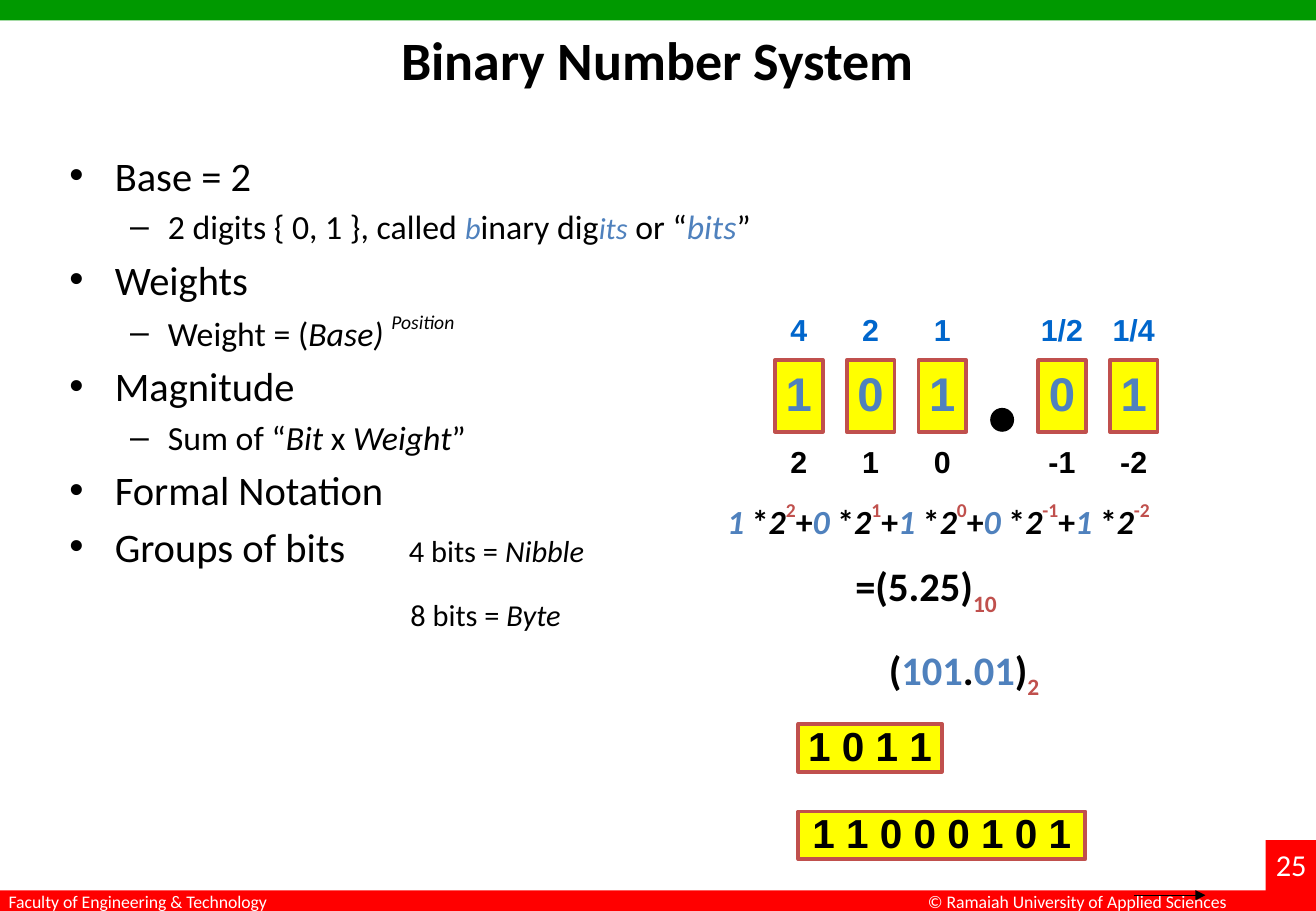
"""Build the Binary Number System lecture slide."""
from dataclasses import dataclass, field

from lxml import etree
from pptx import Presentation
from pptx.dml.color import RGBColor
from pptx.enum.shapes import MSO_CONNECTOR, MSO_SHAPE
from pptx.enum.text import MSO_ANCHOR, MSO_AUTO_SIZE, PP_ALIGN
from pptx.oxml.ns import qn
from pptx.shapes.autoshape import Shape
from pptx.slide import Slide
from pptx.text.text import TextFrame
from pptx.util import Cm, Pt

RECTANGLE, OVAL = MSO_SHAPE.RECTANGLE, MSO_SHAPE.OVAL
STRAIGHT = MSO_CONNECTOR.STRAIGHT
TOP, MIDDLE = MSO_ANCHOR.TOP, MSO_ANCHOR.MIDDLE
LEFT, CENTER = PP_ALIGN.LEFT, PP_ALIGN.CENTER
NO_FIT = MSO_AUTO_SIZE.NONE


@dataclass(frozen=True)
class Theme:
    """Colours, fonts and type sizes of the slide."""
    green: str = "009900"
    red: str = "FF0000"
    yellow: str = "FFFF00"
    white: str = "FFFFFF"
    black: str = "000000"
    accent: str = "4F81BD"
    weight: str = "0066CC"
    border: str = "C0504D"
    body_font: str = "Calibri"
    digit_font: str = "Arial"
    title: float = 32
    digit: float = 28
    level_one: float = 24
    level_two: float = 20
    label: float = 18
    footer: float = 10.5


THEME = Theme()


@dataclass(frozen=True)
class Run:
    """A stretch of text in one format."""
    text: str
    size: float = THEME.level_two
    color: str = THEME.black
    italic: bool = False
    bold: bool = False
    baseline: int = 0
    font: str = THEME.body_font


@dataclass(frozen=True)
class Line:
    """A paragraph with its indents, bullet and spacing."""
    runs: list[Run]
    align: PP_ALIGN = LEFT
    margin: float = 0
    hanging: float = 0
    bullet: str = ""
    tabs: list[float] = field(default_factory=list)
    before: float = 0
    spacing: float = 1.0


@dataclass(frozen=True)
class Box:
    """Left, top, width and height in centimetres."""
    left: float
    top: float
    width: float
    height: float


@dataclass(frozen=True)
class Bit:
    """One binary digit with its weight and position."""
    digit: str
    weight: str
    position: str
    left: float


BITS = [Bit(digit, weight, str(2 - i), 16.2 + 1.5 * i + (1.0 if i > 2 else 0))
        for i, (digit, weight) in enumerate(zip("10101"[:3] + "01", ["4", "2", "1", "1/2", "1/4"]))]


def set_values(target: object, values: dict[str, object]) -> None:
    """Set each named attribute on the target."""
    for name, value in values.items():
        setattr(target, name, value)


def write(frame: TextFrame, lines: list[Line]) -> None:
    """Fill a text frame with formatted paragraphs."""
    for i, line in enumerate(lines):
        paragraph = frame.add_paragraph() if i else frame.paragraphs[0]
        properties = paragraph._p.get_or_add_pPr()
        properties.set("marL", str(Cm(line.margin)))
        properties.set("indent", str(Cm(-line.hanging)))
        if line.bullet:
            etree.SubElement(properties, qn("a:buFont"), typeface=THEME.digit_font)
            etree.SubElement(properties, qn("a:buChar"), char=line.bullet)
        if line.tabs:
            stops = etree.SubElement(properties, qn("a:tabLst"))
            for stop in line.tabs:
                etree.SubElement(stops, qn("a:tab"), pos=str(Cm(stop)), algn="l")
        set_values(paragraph, {"alignment": line.align, "line_spacing": line.spacing,
                               "space_before": Pt(line.before if i else 0)})
        for part in line.runs:
            run = paragraph.add_run()
            run.text = part.text
            set_values(run.font, {"name": part.font, "size": Pt(part.size),
                                  "bold": part.bold, "italic": part.italic})
            run.font.color.rgb = RGBColor.from_string(part.color)
            if part.baseline:
                run._r.get_or_add_rPr().set("baseline", str(part.baseline * 1000))


def add_text(slide: Slide, box: Box, lines: list[Line], wrap: bool = True) -> None:
    """Add a text box without insets."""
    frame = slide.shapes.add_textbox(
        Cm(box.left), Cm(box.top), Cm(box.width), Cm(box.height)).text_frame
    set_values(frame, {"word_wrap": wrap, "margin_left": 0, "margin_right": 0,
                       "margin_top": 0, "margin_bottom": 0})
    write(frame, lines)


def add_block(slide: Slide, box: Box, fill: str, kind: MSO_SHAPE = RECTANGLE) -> Shape:
    """Add a filled shape without outline."""
    block = slide.shapes.add_shape(kind, Cm(box.left), Cm(box.top), Cm(box.width), Cm(box.height))
    block.shadow.inherit = False
    block.fill.solid()
    block.fill.fore_color.rgb = RGBColor.from_string(fill)
    block.line.fill.background()
    return block


def add_cell(slide: Slide, box: Box, digits: Run) -> None:
    """Add a yellow outlined cell holding binary digits."""
    cell = add_block(slide, box, THEME.yellow)
    cell.line.color.rgb = RGBColor.from_string(THEME.border)
    cell.line.width = Pt(2.25)
    set_values(cell.text_frame, {"margin_left": 0, "margin_right": 0, "margin_top": 0,
                                 "margin_bottom": 0, "vertical_anchor": MIDDLE, "word_wrap": True})
    write(cell.text_frame, [Line([digits], CENTER, spacing=0.9)])


def digit_run(text: str, size: float, color: str = THEME.black) -> Run:
    """Return bold digits in the digit font."""
    return Run(text, size, color, bold=True, font=THEME.digit_font)


def heading(*runs: Run, tabs: tuple[float, ...] = ()) -> Line:
    """Return a first-level bullet."""
    return Line(list(runs), margin=0.95, hanging=0.95, bullet="•", tabs=list(tabs), before=4.8)


def detail(*runs: Run) -> Line:
    """Return a second-level bullet."""
    return Line(list(runs), margin=2.06, hanging=0.79, bullet="–", before=4)


def add_frame(slide: Slide) -> None:
    """Add the top bar, footer and slide number."""
    add_block(slide, Box(0, 0, 27.51, 0.43), THEME.green)
    add_block(slide, Box(0, 18.62, 27.51, 0.43), THEME.red)
    add_block(slide, Box(26.46, 17.57, 1.05, 1.48), THEME.red)
    for text, size, box in [
            ("© Ramaiah University of Applied Sciences", THEME.footer, Box(19.4, 18.62, 6.35, 0.43)),
            ("25", THEME.label, Box(26.67, 17.7, 0.76, 0.76)),
            ("Faculty of Engineering & Technology", THEME.footer, Box(0.18, 18.62, 5.5, 0.43))]:
        add_text(slide, box, [Line([Run(text, size, THEME.white)])], wrap=False)
    arrow = slide.shapes.add_connector(STRAIGHT, Cm(23.7), Cm(18.72), Cm(25.2), Cm(18.72))
    arrow.line.color.rgb = RGBColor.from_string(THEME.black)
    arrow.line.width = Pt(0.75)
    etree.SubElement(arrow.line._get_or_add_ln(), qn("a:tailEnd"), type="triangle")
    etree.SubElement(arrow._element.spPr, qn("a:effectLst"))


def add_outline(slide: Slide) -> None:
    """Add the title and the bulleted outline."""
    title = slide.shapes.title
    set_values(title, {"left": Cm(1.37), "top": Cm(0.43), "width": Cm(24.77), "height": Cm(3.18)})
    set_values(title.text_frame, {"vertical_anchor": TOP, "auto_size": NO_FIT})
    write(title.text_frame, [Line([Run("Binary Number System", THEME.title, bold=True)], CENTER)])
    one, label = THEME.level_one, THEME.label
    add_text(slide, Box(1.45, 3.15, 22.5, 14.8), [
        heading(Run("Base = 2", one)),
        detail(Run("2 digits { 0, 1 }, called "), Run("b", label, THEME.accent, True),
               Run("inary dig"), Run("its", label, THEME.accent, True), Run(" or “"),
               Run("bits", color=THEME.accent, italic=True), Run("”")),
        heading(Run("Weights", one)),
        detail(Run("Weight = ("), Run("Base) ", italic=True),
               Run("Position", italic=True, baseline=50)),
        heading(Run("Magnitude", one)),
        detail(Run("Sum of “"), Run("Bit", italic=True), Run(" x "),
               Run("Weight", italic=True), Run("”")),
        heading(Run("Formal Notation", one)),
        heading(Run("Groups of bits\t", one), Run("4 bits = ", label),
                Run("Nibble", label, italic=True), tabs=(7.1,)),
        Line([Run("8 bits = ", label), Run("Byte", label, italic=True)], margin=7.13, before=15.5),
    ])


def add_example(slide: Slide) -> None:
    """Add the worked example and the bit groups."""
    expansion: list[Run] = []
    for bit in BITS:
        if expansion:
            expansion.append(Run("+", bold=True))
        expansion += [Run(f"{bit.digit} ", color=THEME.accent, italic=True, bold=True),
                      Run("*", bold=True), Run("2", italic=True, bold=True),
                      Run(bit.position, color=THEME.border, bold=True, baseline=50)]
        add_cell(slide, Box(bit.left, 7.53, 1, 1.5), digit_run(bit.digit, THEME.digit, THEME.accent))
        for text, top, color in [(bit.weight, 6.6, THEME.weight), (bit.position, 9.35, THEME.black)]:
            add_text(slide, Box(bit.left - 0.25, top, 1.5, 0.69),
                     [Line([digit_run(text, THEME.label, color)], CENTER, spacing=0.9)])
    add_block(slide, Box(20.7, 8.53, 0.5, 0.5), THEME.black, OVAL)
    one = THEME.level_one
    add_text(slide, Box(15.2, 10.52, 10.4, 2.2), [
        Line(expansion, spacing=0.9),
        Line([Run("=(5.25)", one, bold=True), Run("10", one, THEME.border, bold=True, baseline=-25)],
             margin=2.68, before=12, spacing=0.9)])
    notation = [("(", THEME.black), ("101", THEME.accent), (".", THEME.black),
                ("01", THEME.accent), (")", THEME.black)]
    add_text(slide, Box(18.18, 13.51, 5.5, 0.92), [
        Line([Run(text, one, color, bold=True) for text, color in notation]
             + [Run("2", one, THEME.border, bold=True, baseline=-25)], margin=0.4, spacing=0.9)])
    for digits, top, width in [("1 0 1 1", 15.14, 3), ("1 1 0 0 0 1 0 1", 16.97, 6)]:
        add_cell(slide, Box(16.69, top, width, 1), digit_run(digits, one))


def main() -> None:
    """Create and save the presentation."""
    deck = Presentation()
    set_values(deck, {"slide_width": Cm(27.51), "slide_height": Cm(19.05)})
    slide = deck.slides.add_slide(deck.slide_layouts[5])
    for add_part in (add_frame, add_outline, add_example):
        add_part(slide)
    deck.save("out.pptx")


if __name__ == "__main__":
    main()
